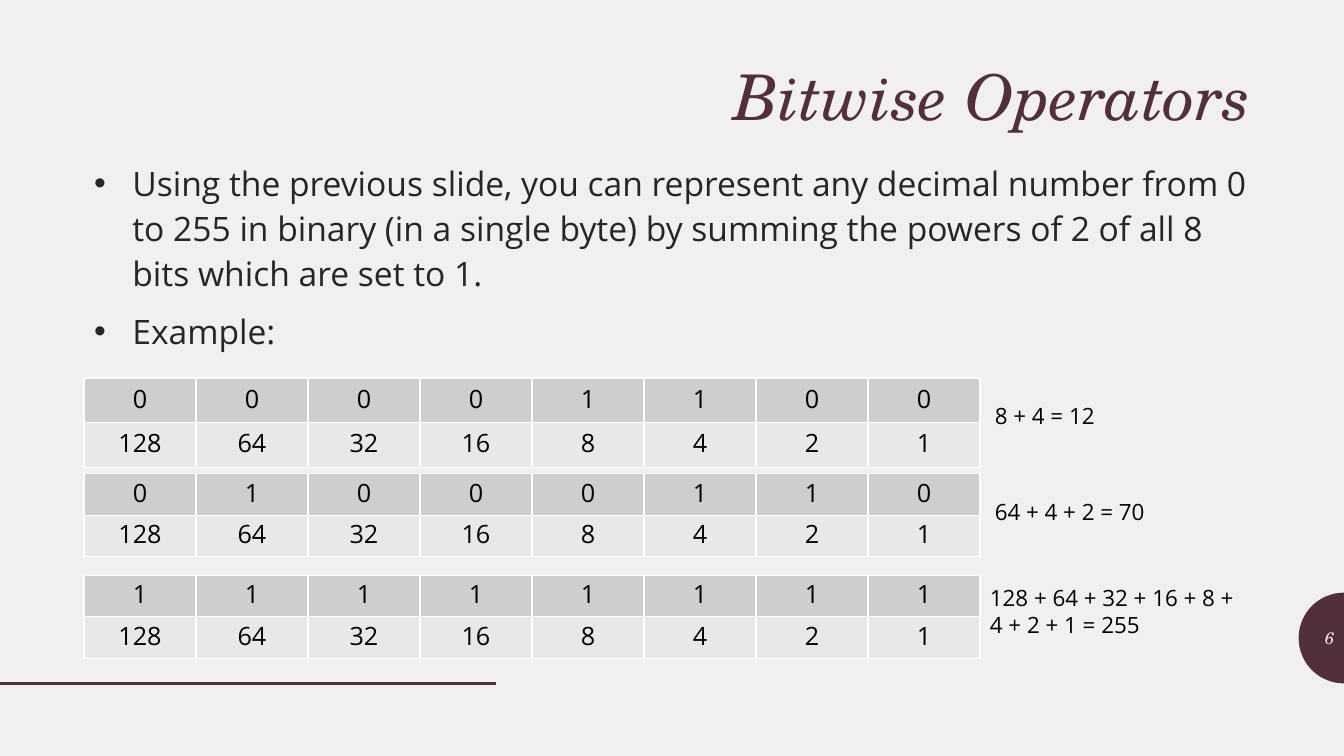
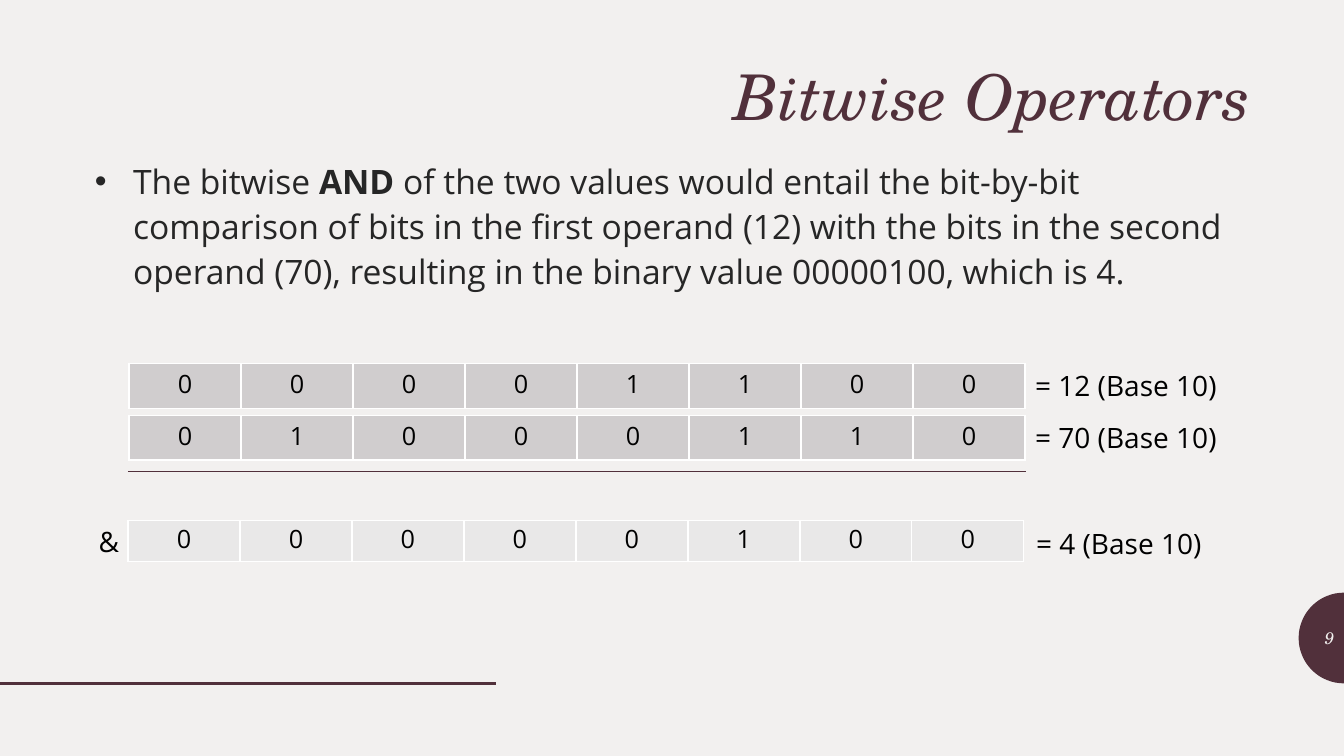
"""Build two lecture slides on bitwise operators, with tables of bits."""
from math import cos, pi, sin

from lxml.etree import SubElement
from pptx import Presentation
from pptx.dml.color import RGBColor
from pptx.enum.shapes import MSO_CONNECTOR
from pptx.enum.text import MSO_ANCHOR as ANCHOR, MSO_AUTO_SIZE as FIT, PP_ALIGN as ALIGN
from pptx.oxml.ns import qn
from pptx.util import Inches, Pt

COLORS = {"paper": "F2F0EF", "plum": "51303B", "text": "262626", "black": "000000",
          "bits": "D0CDCE", "weights": "E9E8E8", "border": "FFFFFF"}
SANS, SERIF = "Open Sans", "TeX Gyre Schola"
WIDTH, HEIGHT = Inches(13.333), Inches(7.5)
BITS = 8
COLUMN = WIDTH // 12
WEIGHTS = [str(2 ** power) for power in reversed(range(BITS))]
TALL, SHORT = 5.93, 5.47


def area(*percents):
    """Turn left, top, width and height in percent of the slide into lengths."""
    return [int(share * side / 100) for share, side in zip(percents, (WIDTH, HEIGHT) * 2)]


def write(frame, text, size=18, font=SANS, color="black", align=ALIGN.LEFT,
          anchor=ANCHOR.TOP, italic=False, spacing=None, before=0, bullet=False):
    """Fill a frame: lines become paragraphs and ** switches bold."""
    frame.word_wrap = True
    frame.vertical_anchor = anchor
    for index, line in enumerate(text.split("\n")):
        paragraph = frame.add_paragraph() if index else frame.paragraphs[0]
        if bullet:
            properties = paragraph._p.get_or_add_pPr()
            properties.set("marL", str(Inches(0.38)))
            properties.set("indent", str(Inches(-0.38)))
            SubElement(properties, qn("a:buChar"), char="•")
        paragraph.alignment = align
        paragraph.line_spacing = spacing or Pt(size * 1.2)
        paragraph.space_before = Pt(before if index else 0)
        for part, words in enumerate(line.split("**")):
            run = paragraph.add_run()
            run.text = words
            run.font.name, run.font.size = font, Pt(size)
            run.font.bold, run.font.italic = part % 2 == 1, italic
            run.font.color.rgb = RGBColor.from_string(COLORS[color])


LECTURE = [
    {"number": "6", "body_at": (6.25, 20.27),
     "body": "Using the previous slide, you can represent any decimal number from 0 to 255 "
             "in binary (in a single byte) by summing the powers of 2 of all 8 bits which "
             "are set to 1.\nExample:",
     "bytes": [(6.25, 50, TALL, [("bits", "00001100"), ("weights", WEIGHTS)]),
               (6.25, 62.67, SHORT, [("bits", "01000110"), ("weights", WEIGHTS)]),
               (6.25, 76.13, SHORT, [("bits", "11111111"), ("weights", WEIGHTS)])],
     "labels": [((73.28, 52.53, 19.8, 4.93), "8 + 4 = 12", 16, ALIGN.LEFT),
                ((73.28, 65.2, 19.8, 4.93), "64 + 4 + 2 = 70", 16, ALIGN.LEFT),
                ((72.92, 76.67, 19.8, 8.53), "128 + 64 + 32 + 16 + 8 + 4 + 2 + 1 = 255",
                 16, ALIGN.LEFT)],
     "rules": []},
    {"number": "9", "body_at": (6.3, 20),
     "body": "The bitwise **AND** of the two values would entail the bit-by-bit comparison "
             "of bits in the first operand (12) with the bits in the second operand (70), "
             "resulting in the binary value 00000100, which is 4.",
     "bytes": [(9.6, 48.13, TALL, [("bits", "00001100")]),
               (9.6, 54.93, TALL, [("bits", "01000110")]),
               (9.52, 68.8, SHORT, [("weights", "00000100")])],
     "labels": [((76.28, 48.13, 15.53, 5.87), "= 12 (Base 10)", 20, ALIGN.LEFT),
                ((76.28, 54.93, 15.53, 5.87), "= 70 (Base 10)", 20, ALIGN.LEFT),
                ((76.35, 68.93, 14.1, 5.87), "= 4 (Base 10)", 20, ALIGN.LEFT),
                ((6.3, 68.67, 3.3, 5.87), "&", 20, ALIGN.RIGHT)],
     "rules": [((9.52, 62.4, 76.35, 62.4), 0.5)]},
]

deck = Presentation()
deck.slide_width, deck.slide_height = WIDTH, HEIGHT
paper = deck.slide_master.background.fill
paper.solid()
paper.fore_color.rgb = RGBColor.from_string(COLORS["paper"])
plum = RGBColor.from_string(COLORS["plum"])

radius, center = Inches(0.45), HEIGHT * 0.844
arc = [(int(WIDTH - radius * sin(pi * step / 32)), int(center - radius * cos(pi * step / 32)))
       for step in range(33)]

for topic in LECTURE:
    slide = deck.slides.add_slide(deck.slide_layouts[1])
    shapes = slide.shapes

    outline = shapes.build_freeform(*arc[0])
    outline.add_line_segments(arc[1:], close=True)
    badge = outline.convert_to_shape()
    badge.shadow.inherit = False
    badge.fill.solid()
    badge.fill.fore_color.rgb = plum
    badge.line.fill.background()

    for ends, weight in [((0, 90.4, 36.9, 90.4), 2)] + topic["rules"]:
        rule = shapes.add_connector(MSO_CONNECTOR.STRAIGHT, *area(*ends))
        rule.line.color.rgb = plum
        rule.line.width = Pt(weight)
        SubElement(rule._element.spPr, qn("a:effectLst"))

    title, body = shapes.title, slide.placeholders[1]
    title.left, title.top, title.width, title.height = area(6.25, 8.13, 87.5, 10.13)
    body.left, body.top, body.width, body.height = area(*topic["body_at"], 87.5, 68.53)
    for holder in (title, body):
        holder.text_frame.auto_size = FIT.NONE
    write(title.text_frame, "Bitwise Operators", size=45, font=SERIF, color="plum",
          align=ALIGN.RIGHT, italic=True, spacing=0.9)
    write(body.text_frame, topic["body"], size=24, color="text", spacing=Pt(32.2),
          before=9, bullet=True)

    number = shapes.add_textbox(*area(96.67, 81.73, 3.33, 5.33))
    write(number.text_frame, topic["number"], size=12, font=SERIF, color="paper",
          align=ALIGN.RIGHT, anchor=ANCHOR.MIDDLE, italic=True)

    for left, top, row_share, rows in topic["bytes"]:
        x, y, row_height = int(left * WIDTH / 100), int(top * HEIGHT / 100), int(row_share * HEIGHT / 100)
        byte = shapes.add_table(len(rows), BITS, x, y, COLUMN * BITS, row_height * len(rows)).table
        for r, (shade, values) in enumerate(rows):
            byte.rows[r].height = row_height
            for c, value in enumerate(values):
                byte.columns[c].width = COLUMN
                cell = byte.cell(r, c)
                write(cell.text_frame, value, align=ALIGN.CENTER)
                cell.vertical_anchor = ANCHOR.MIDDLE
                properties = cell._tc.get_or_add_tcPr()
                for side in ("a:lnL", "a:lnR", "a:lnT", "a:lnB"):
                    edge = SubElement(properties, qn(side), w=str(Pt(1)))
                    SubElement(SubElement(edge, qn("a:solidFill")), qn("a:srgbClr"),
                               val=COLORS["border"])
                cell.fill.solid()
                cell.fill.fore_color.rgb = RGBColor.from_string(COLORS[shade])

    for place, words, size, align in topic["labels"]:
        label = shapes.add_textbox(*area(*place))
        write(label.text_frame, words, size=size, align=align)

deck.save("out.pptx")
